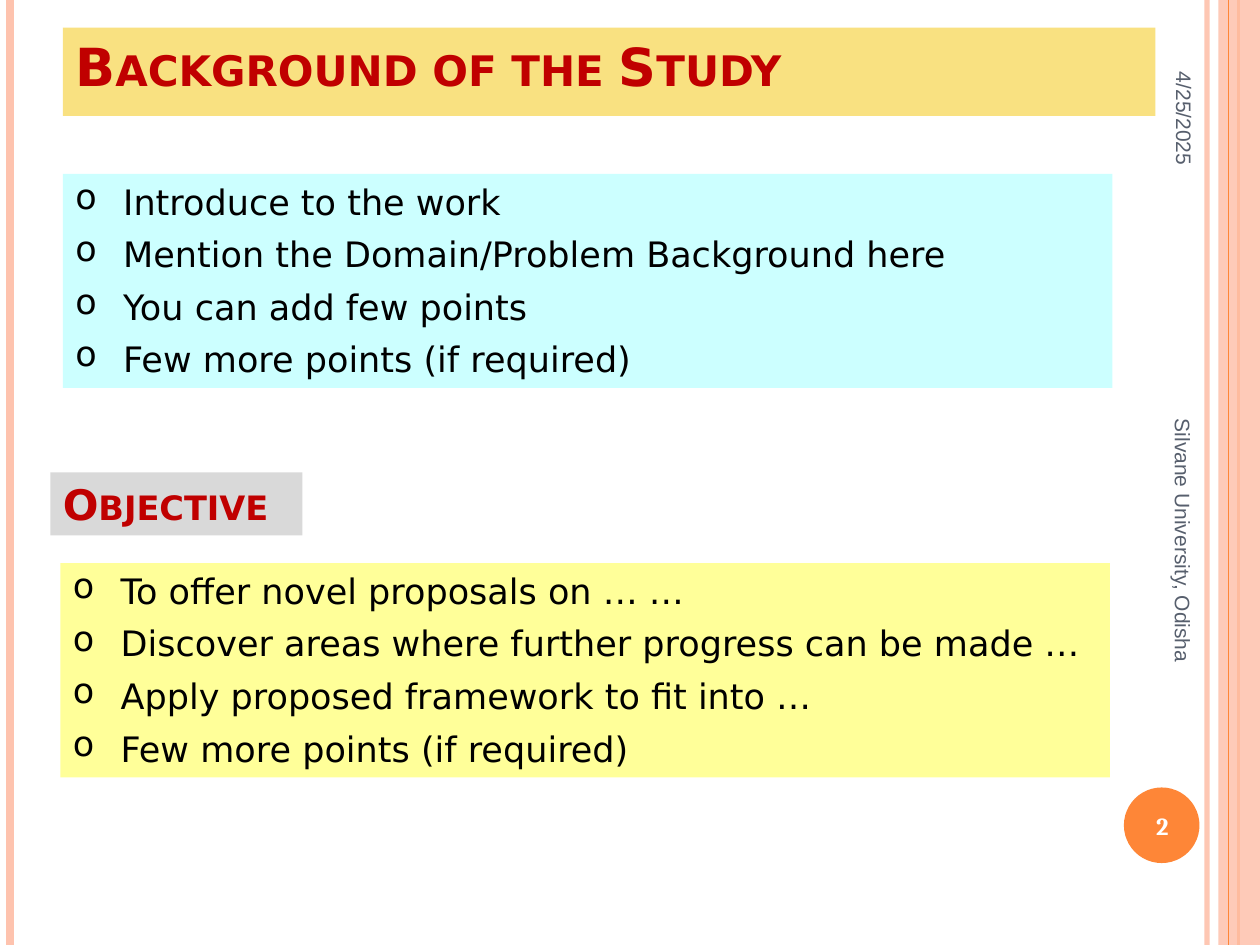
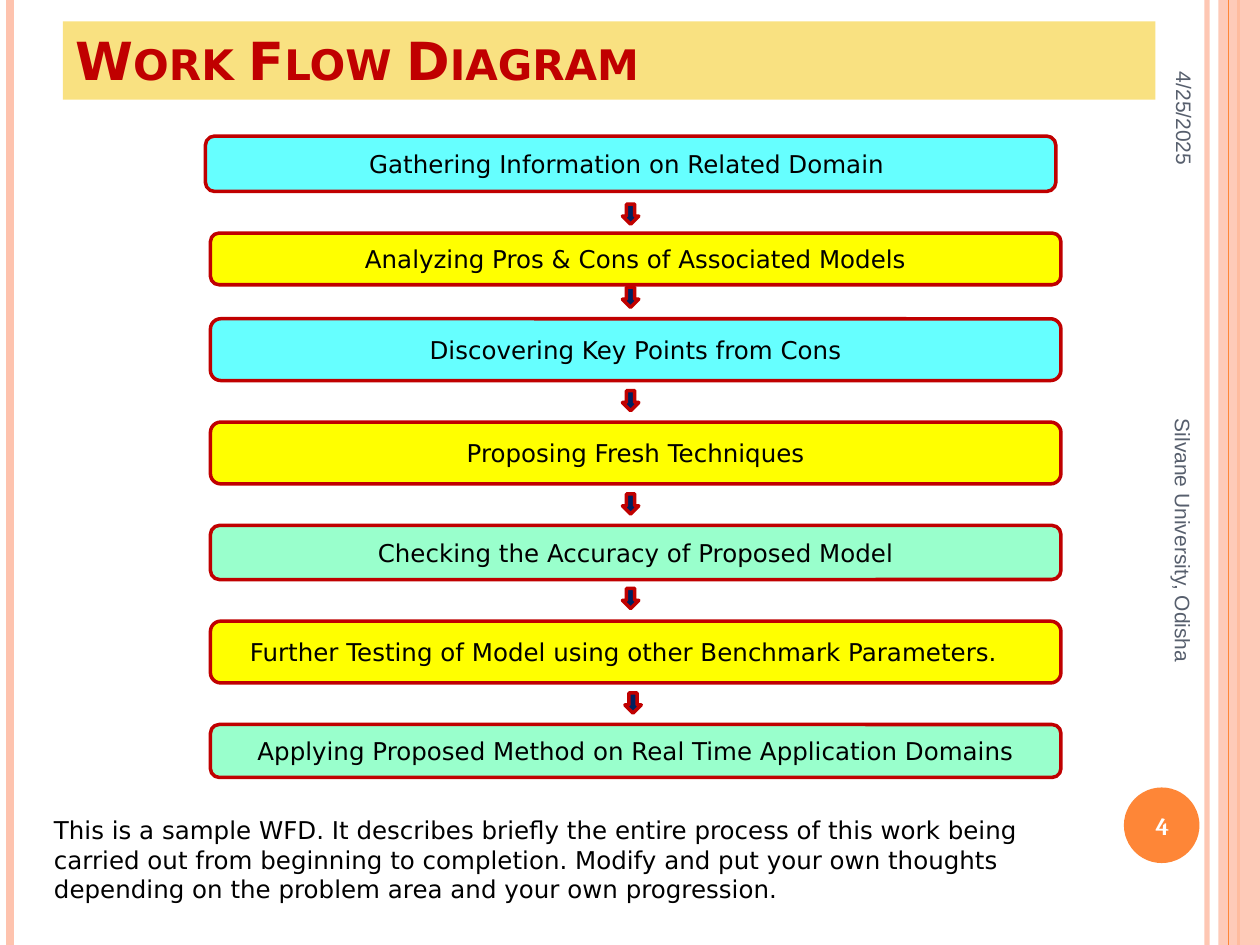
from lxml import etree
from pptx import Presentation
from pptx import util as u
from pptx.dml.color import RGBColor
from pptx.enum import shapes, text
from pptx.oxml.ns import qn

PX = 9144  # 100 px to the inch
SLIDE_W, SLIDE_H = 1000, 750
BODY_FONT = "DejaVu Sans"
COLORS = {
    "peach": "FEC3AE", "orange": "FE8637", "slate": "575F6D", "white": "FFFFFF",
    "black": "000000", "red": "C00000", "gold": "F9E181", "navy": "002060",
    "pale cyan": "CCFFFF", "pale yellow": "FFFF99", "gray": "D9D9D9",
    "cyan": "66FFFF", "yellow": "FFFF00", "mint": "99FFCC",
}
SHAPE = shapes.MSO_SHAPE
ALIGN = text.PP_ALIGN
MIDDLE = text.MSO_ANCHOR.MIDDLE


def rgb(name):
    return RGBColor.from_string(COLORS[name])


def emu(*lengths):
    return [u.Emu(n * PX) for n in lengths]


def set_opacity(sp, percent):
    for clr in sp._element.spPr.iter(qn("a:srgbClr")):
        etree.SubElement(clr, qn("a:alpha")).set("val", str(percent * 1000))


def add_box(slide, kind, box, fill, line=None):
    sp = slide.shapes.add_shape(kind, *emu(*box))
    sp.shadow.inherit = False
    sp.fill.solid()
    sp.fill.fore_color.rgb = rgb(fill)
    if line:
        sp.line.color.rgb = rgb(line)
        sp.line.width = u.Pt(2)
    else:
        sp.line.fill.background()
    return sp


def add_rule(slide, x, color, width, opacity=100):
    ln = slide.shapes.add_connector(shapes.MSO_CONNECTOR.STRAIGHT, *emu(x, 0, x, SLIDE_H))
    ln.line.color.rgb = rgb(color)
    ln.line.width = u.Pt(width)
    etree.SubElement(ln._element.spPr, qn("a:effectLst"))
    if opacity < 100:
        set_opacity(ln, opacity)


def write(sp, lines, size, color="black", font=BODY_FONT, bold=False,
          align=ALIGN.LEFT, anchor=text.MSO_ANCHOR.TOP, small_caps=False, bullet=None):
    tf = sp.text_frame
    tf.word_wrap = True
    tf.vertical_anchor = anchor
    for i, line in enumerate(lines):
        p = tf.paragraphs[0] if i == 0 else tf.add_paragraph()
        p.alignment = align
        r = p.add_run()
        r.text = line
        r.font.size = u.Pt(size)
        r.font.name = font
        r.font.bold = bold
        r.font.color.rgb = rgb(color)
        if small_caps:
            r._r.get_or_add_rPr().set("cap", "small")
        if bullet:
            p.space_after = u.Pt(6)
            pPr = p._p.get_or_add_pPr()
            pPr.set("marL", str(38 * PX))
            pPr.set("indent", str(-38 * PX))
            etree.SubElement(pPr, qn("a:buChar")).set("char", bullet)


def add_text(slide, box, lines, size, rotation=0, **style):
    sp = slide.shapes.add_textbox(*emu(*box))
    sp.rotation = rotation
    write(sp, lines, size, **style)


def add_heading(slide, box, title, fill="gold", size=30):
    sp = add_box(slide, SHAPE.RECTANGLE, box, fill)
    write(sp, [title], size, color="red", bold=True, small_caps=True)


def add_bullets(slide, box, lines, fill):
    sp = add_box(slide, SHAPE.RECTANGLE, box, fill)
    write(sp, lines, 20, bullet="o")


def add_frame(slide, number):
    """Side bands, sideways date and footer, and page number."""
    add_rule(slide, 958, "peach", 3, 93)
    add_rule(slide, 8, "peach", 4.5)
    add_rule(slide, 983, "orange", 1.5)
    band = add_box(slide, SHAPE.RECTANGLE, (967, 0, 33, SLIDE_H), "peach")
    set_opacity(band, 87)
    add_rule(slide, 975, "orange", 0.75)
    add_box(slide, SHAPE.OVAL, (892, 625, 60, 60), "orange")
    side = dict(rotation=90, color="slate", font="Arial", anchor=MIDDLE)
    add_text(slide, (884, 64, 112, 42), ["4/25/2025"], 12, align=ALIGN.RIGHT, **side)
    add_text(slide, (764, 409, 350, 40), ["Silvane University, Odisha"], 12,
             align=ALIGN.CENTER, **side)
    add_text(slide, (889, 627, 67, 57), [str(number)], 14, color="white", font="Cambria",
             bold=True, align=ALIGN.CENTER, anchor=MIDDLE)


def add_flow(slide, box, steps, arrows):
    """Steps are (text, dx, dy, height, fill, extra right inset); arrows are (dx, dy)."""
    left, top, width = box
    for label, dx, dy, height, fill, inset in steps:
        sp = add_box(slide, SHAPE.ROUNDED_RECTANGLE,
                     (left + dx, top + dy, width, height), fill, "red")
        sp.text_frame.margin_right = u.Emu((10 + inset) * PX)
        write(sp, [label], 14, align=ALIGN.CENTER, anchor=MIDDLE)
    for dx, dy in arrows:
        add_box(slide, SHAPE.DOWN_ARROW, (left + dx, top + dy, 13, 16), "navy", "red")


def build_background(slide):
    add_frame(slide, 2)
    add_heading(slide, (50, 22, 867, 70), "Background of the Study")
    add_bullets(slide, (50, 138, 833, 170), [
        "Introduce to the work",
        "Mention the Domain/Problem Background here",
        "You can add few points",
        "Few more points (if required)",
    ], "pale cyan")
    add_heading(slide, (40, 375, 200, 50), "Objective", "gray", 24)
    add_bullets(slide, (48, 447, 833, 170), [
        "To offer novel proposals on … …",
        "Discover areas where further progress can be made …",
        "Apply proposed framework to fit into …",
        "Few more points (if required)",
    ], "pale yellow")


def build_work_flow(slide):
    add_frame(slide, 4)
    add_heading(slide, (50, 17, 867, 62), "Work Flow Diagram")
    steps = [
        ("Gathering Information on Related Domain", -4, 0, 44, "cyan", 6),
        ("Analyzing Pros & Cons of Associated Models", 0, 77, 41, "yellow", 0),
        ("Discovering Key Points from Cons", 0, 145, 49, "cyan", 0),
        ("Proposing Fresh Techniques", 0, 227, 49, "yellow", 0),
        ("Checking the Accuracy of Proposed Model", 0, 309, 43, "mint", 0),
        ("Further Testing of Model using other Benchmark Parameters.", 0, 385, 49, "yellow", 19),
        ("Applying Proposed Method on Real Time Application Domains", 0, 467, 42, "mint", 0),
    ]
    arrows = [(327, dy) for dy in (54, 120, 202, 284, 359)] + [(329, 442)]
    add_flow(slide, (167, 108, 675), steps, arrows)
    add_text(slide, (33, 642, 792, 81), [
        "This is a sample WFD. It describes briefly the entire process of this work being "
        "carried out from beginning to completion. Modify and put your own thoughts "
        "depending on the problem area and your own progression."], 14)


def main():
    prs = Presentation()
    prs.slide_width, prs.slide_height = emu(SLIDE_W, SLIDE_H)
    for build in (build_background, build_work_flow):
        build(prs.slides.add_slide(prs.slide_layouts[6]))
    prs.save("out.pptx")


if __name__ == "__main__":
    main()
